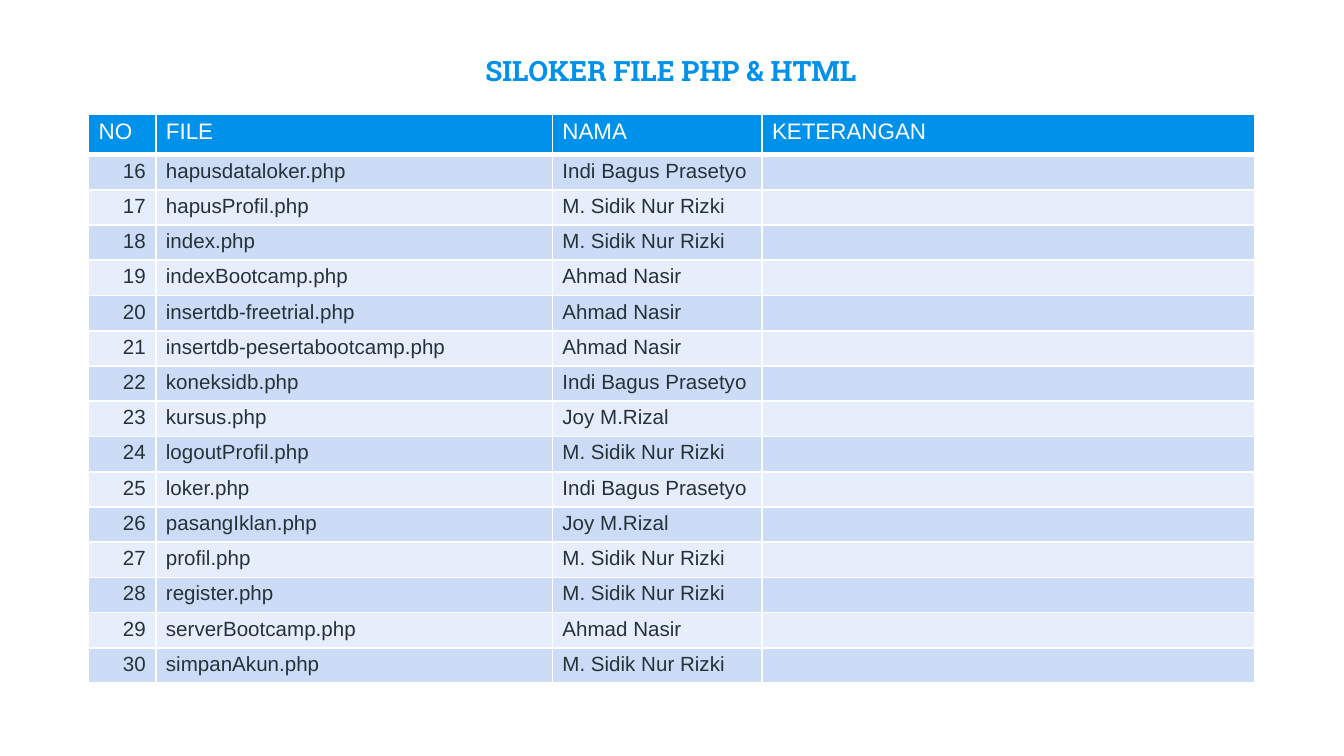
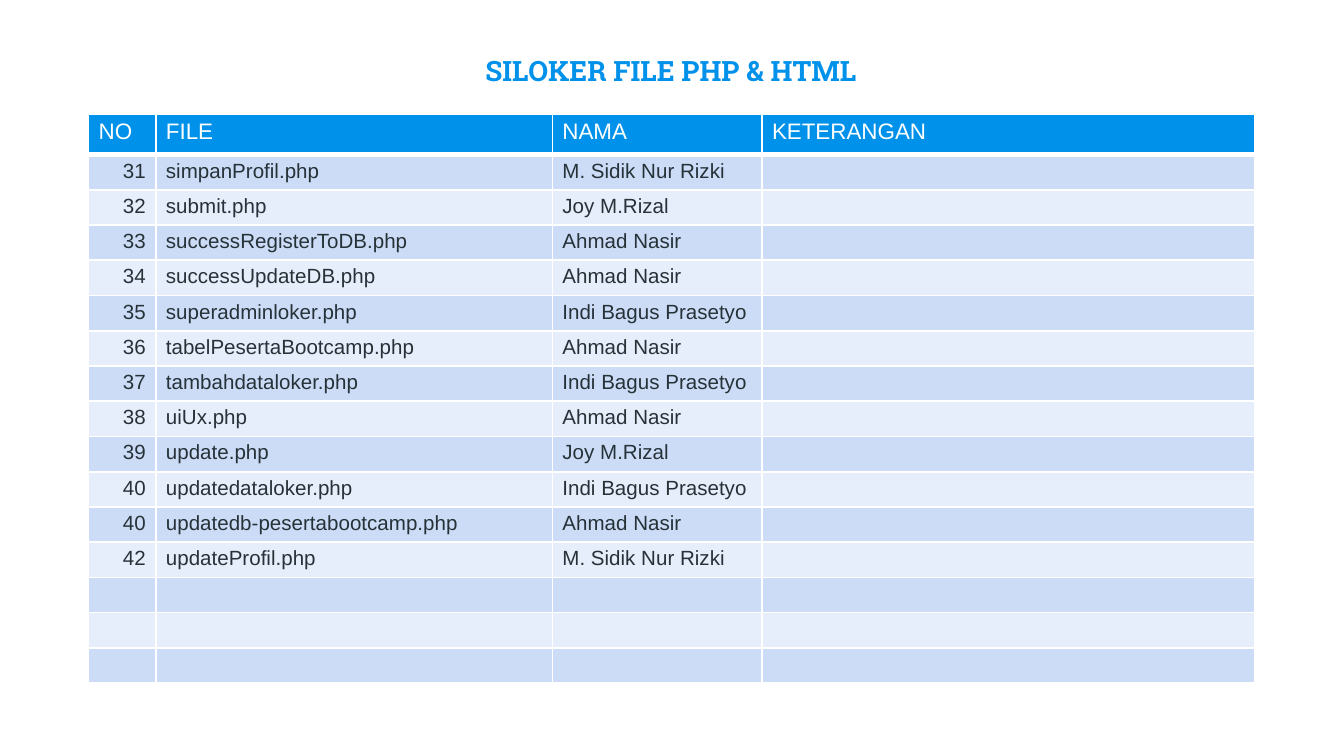
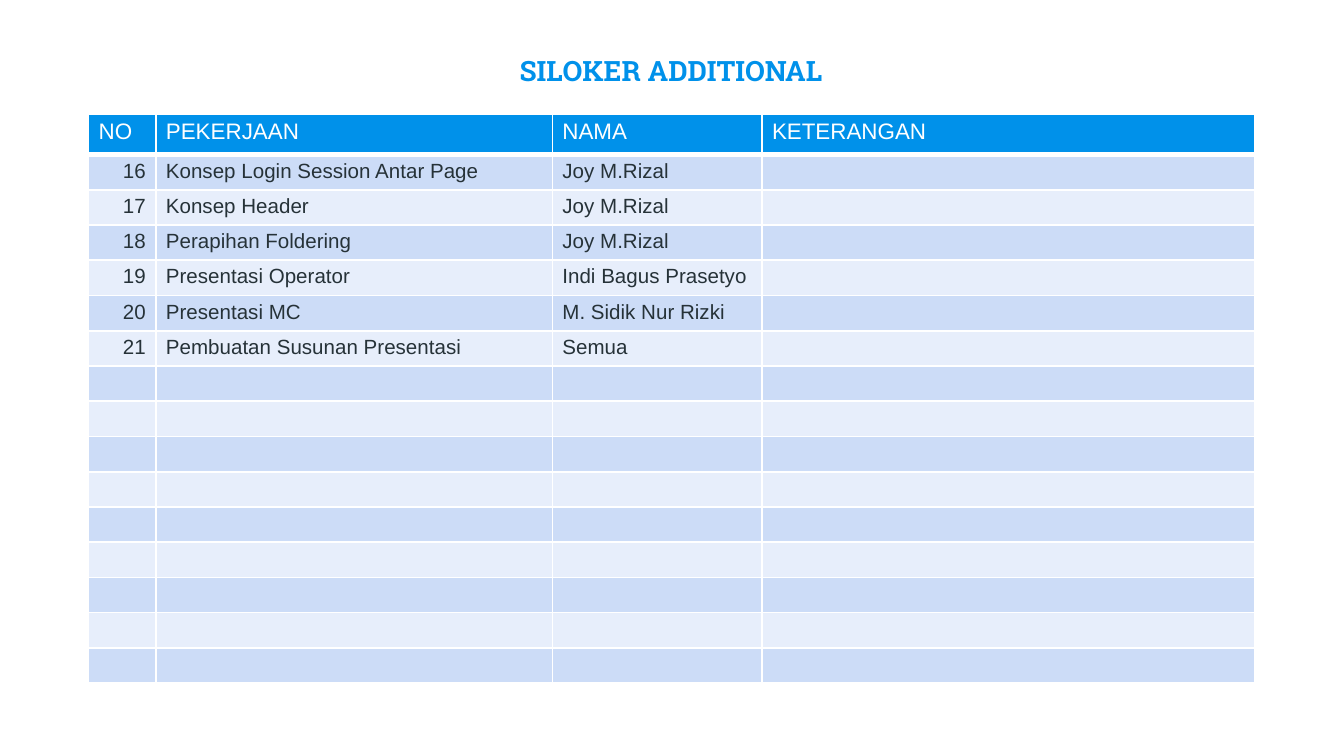
from lxml import etree
from pptx import Presentation
from pptx.dml.color import RGBColor
from pptx.enum import text
from pptx.oxml import ns
from pptx.util import Pt

COLORS = {"blue": "0091EA", "ink": "263238", "white": "FFFFFF",
          "band_dark": "CCDCF7", "band_light": "E7EEFB"}
BODY_FONT, TITLE_FONT = "Arial", "Roboto Slab"

# Table geometry in points
LEFT, TOP = 47.5, 61.2
COL_WIDTHS = (36, 212.4, 112.3, 264.2)
HEADER_HEIGHT, ROW_HEIGHT, BODY_ROWS = 21.6, 18, 15

# Team members
INDI, SIDIK = "Indi Bagus Prasetyo", "M. Sidik Nur Rizki"
NASIR, JOY = "Ahmad Nasir", "Joy M.Rizal"

FILES_16_30 = [
    (16, "hapusdataloker.php", INDI),
    (17, "hapusProfil.php", SIDIK),
    (18, "index.php", SIDIK),
    (19, "indexBootcamp.php", NASIR),
    (20, "insertdb-freetrial.php", NASIR),
    (21, "insertdb-pesertabootcamp.php", NASIR),
    (22, "koneksidb.php", INDI),
    (23, "kursus.php", JOY),
    (24, "logoutProfil.php", SIDIK),
    (25, "loker.php", INDI),
    (26, "pasangIklan.php", JOY),
    (27, "profil.php", SIDIK),
    (28, "register.php", SIDIK),
    (29, "serverBootcamp.php", NASIR),
    (30, "simpanAkun.php", SIDIK),
]
FILES_31_42 = [
    (31, "simpanProfil.php", SIDIK),
    (32, "submit.php", JOY),
    (33, "successRegisterToDB.php", NASIR),
    (34, "successUpdateDB.php", NASIR),
    (35, "superadminloker.php", INDI),
    (36, "tabelPesertaBootcamp.php", NASIR),
    (37, "tambahdataloker.php", INDI),
    (38, "uiUx.php", NASIR),
    (39, "update.php", JOY),
    (40, "updatedataloker.php", INDI),
    (40, "updatedb-pesertabootcamp.php", NASIR),
    (42, "updateProfil.php", SIDIK),
]
ADDITIONAL_TASKS = [
    (16, "Konsep Login Session Antar Page", JOY),
    (17, "Konsep Header", JOY),
    (18, "Perapihan Foldering", JOY),
    (19, "Presentasi Operator", INDI),
    (20, "Presentasi MC", SIDIK),
    (21, "Pembuatan Susunan Presentasi", "Semua"),
]

SLIDES = [
    ("SILOKER FILE PHP & HTML", "FILE", FILES_16_30),
    ("SILOKER FILE PHP & HTML", "FILE", FILES_31_42),
    ("SILOKER ADDITIONAL", "PEKERJAAN", ADDITIONAL_TASKS),
]


def rgb(name):
    return RGBColor.from_string(COLORS[name])


def add_run(p, words, font, size, color, bold=False):
    r = p.add_run()
    r.text = words
    r.font.name, r.font.size, r.font.bold = font, Pt(size), bold
    r.font.color.rgb = rgb(color)


def set_title(s, words):
    sp = s.shapes.title
    sp.left, sp.top, sp.width, sp.height = Pt(131), Pt(23), Pt(457), Pt(29)
    tf = sp.text_frame
    tf.auto_size = text.MSO_AUTO_SIZE.NONE
    tf.word_wrap = True
    tf.vertical_anchor = text.MSO_ANCHOR.BOTTOM
    tf.margin_left = tf.margin_right = tf.margin_top = tf.margin_bottom = Pt(5.2)
    p = tf.paragraphs[0]
    p.alignment = text.PP_ALIGN.CENTER
    add_run(p, words, TITLE_FONT, 15, "blue", bold=True)


def set_borders(cell, bottom):
    tc_pr = cell._tc.get_or_add_tcPr()
    for i, (side, width) in enumerate((("L", 1), ("R", 1), ("T", 1), ("B", bottom))):
        ln = etree.Element(ns.qn(f"a:ln{side}"), w=str(Pt(width)))
        fill = etree.SubElement(ln, ns.qn("a:solidFill"))
        etree.SubElement(fill, ns.qn("a:srgbClr"), val=COLORS["white"])
        tc_pr.insert(i, ln)


def set_cell(cell, words, fill, size, color, align, bottom=1):
    cell.fill.solid()
    cell.fill.fore_color.rgb = rgb(fill)
    cell.margin_left = cell.margin_right = Pt(5.4)
    cell.margin_top = cell.margin_bottom = Pt(2.65)
    set_borders(cell, bottom)
    p = cell.text_frame.paragraphs[0]
    p.alignment = align
    if words:
        add_run(p, words, BODY_FONT, size, color)
    else:
        # Keeps an empty row as low as a filled one
        etree.SubElement(p._p, ns.qn("a:endParaRPr"), sz=str(size * 100))


def add_task_table(s, headings, tasks):
    height = HEADER_HEIGHT + BODY_ROWS * ROW_HEIGHT
    table = s.shapes.add_table(BODY_ROWS + 1, len(headings), Pt(LEFT), Pt(TOP),
                               Pt(sum(COL_WIDTHS)), Pt(height)).table
    table.first_row = table.horz_banding = False
    for column, width in zip(table.columns, COL_WIDTHS):
        column.width = Pt(width)
    for i, row in enumerate(table.rows):
        row.height = Pt(ROW_HEIGHT if i else HEADER_HEIGHT)

    # Header row
    left, right = text.PP_ALIGN.LEFT, text.PP_ALIGN.RIGHT
    for col, heading in enumerate(headings):
        set_cell(table.cell(0, col), heading, "blue", 12, "white", left, bottom=3)

    # Banded body, with blank rows after the last task
    for i in range(BODY_ROWS):
        number, task, person = tasks[i] if i < len(tasks) else ("", "", "")
        band = "band_light" if i % 2 else "band_dark"
        for col, words in enumerate((str(number), task, person, "")):
            set_cell(table.cell(i + 1, col), words, band, 11, "ink",
                     left if col else right)


def main():
    prs = Presentation()
    prs.slide_width, prs.slide_height = Pt(720), Pt(405)
    for title, task_heading, tasks in SLIDES:
        s = prs.slides.add_slide(prs.slide_layouts[5])
        set_title(s, title)
        add_task_table(s, ("NO", task_heading, "NAMA", "KETERANGAN"), tasks)
    prs.save("out.pptx")


if __name__ == "__main__":
    main()
